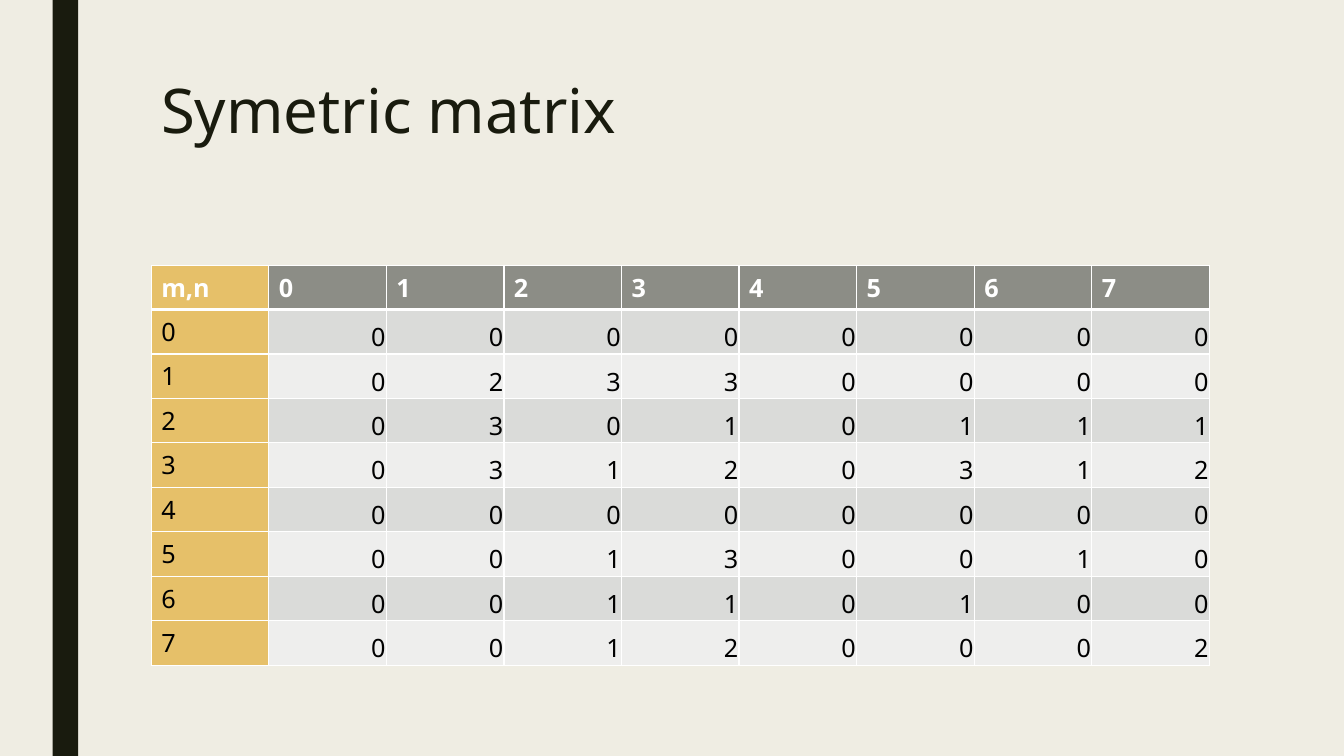
from pptx import Presentation, util as u
from pptx.dml.color import RGBColor
from pptx.enum import shapes, text
from pptx.oxml import parse_xml
from pptx.oxml.ns import nsdecls

FONT = "Noto Sans"
HUES = {"back": "EFEDE3", "dark": "191B0E", "white": "FFFFFF", "black": "000000",
        "gold": "E6C069", "head": "8C8D86", "odd": "DADBD9", "even": "EEEEED"}
DATA = ["00000000", "02330000", "03010111", "03120312",
        "00000000", "00130010", "00110100", "00120002"]


def paint(fill, hue):
    """Fill with one solid colour from the palette."""
    fill.solid()
    fill.fore_color.rgb = RGBColor.from_string(HUES[hue])


def style(frame, size, hue, bold=False):
    """Format all runs of a text frame."""
    for para in frame.paragraphs:
        for run in para.runs:
            run.font.name = FONT
            run.font.size = u.Pt(size)
            run.font.bold = bold
            run.font.color.rgb = RGBColor.from_string(HUES[hue])


def add_bar(slide, height):
    """Draw the dark bar along the left side."""
    bar = slide.shapes.add_shape(shapes.MSO_SHAPE.RECTANGLE,
                                 u.Cm(1.33), 0, u.Cm(0.64), height)
    bar.shadow.inherit = False
    paint(bar.fill, "dark")
    bar.line.fill.background()


def add_title(slide, words):
    """Place the slide title."""
    box = slide.shapes.add_textbox(u.Cm(3.81), u.Cm(1.92), u.Cm(26.67), u.Cm(4.11))
    frame = box.text_frame
    frame.word_wrap = True
    frame.text = words
    frame.paragraphs[0].line_spacing = 0.89
    style(frame, 44, "dark")


def edge(cell, row):
    """Give a cell white borders, thick below the header row."""
    wide = {"T": row == 1, "B": row == 0}
    for side in "LRTB":
        width = u.Pt(3 if wide.get(side) else 1)
        cell._tc.get_or_add_tcPr().append(parse_xml(
            f'<a:ln{side} {nsdecls("a")} w="{width}"><a:solidFill>'
            f'<a:srgbClr val="{HUES["white"]}"/></a:solidFill></a:ln{side}>'))


def set_cell(cell, row, col, words):
    """Write and format a cell according to its place in the matrix."""
    edge(cell, row)
    band = "head" if row == 0 else "odd" if row % 2 else "even"
    paint(cell.fill, "gold" if col == 0 else band)
    cell.text = words
    style(cell.text_frame, 18, "black" if row else "white", row == 0)
    if row and col:
        cell.vertical_anchor = text.MSO_ANCHOR.BOTTOM
        cell.margin_left = cell.margin_right = cell.margin_top = u.Cm(0.02)
        cell.margin_bottom = 0
        cell.text_frame.paragraphs[0].alignment = text.PP_ALIGN.RIGHT


def add_matrix(slide):
    """Build the matrix with its row and column numbers."""
    rows = [["m,n", *map(str, range(len(DATA)))]]
    rows += [[str(num), *line] for num, line in enumerate(DATA)]
    size = len(rows)
    grid = slide.shapes.add_table(size, size, u.Cm(3.81), u.Cm(6.68),
                                  u.Cm(26.67), u.Cm(10.08)).table
    for row, line in enumerate(rows):
        for col, words in enumerate(line):
            set_cell(grid.cell(row, col), row, col, words)


def main():
    """Create the slide and save it."""
    deck = Presentation()
    deck.slide_width, deck.slide_height = u.Cm(33.87), u.Cm(19.05)
    slide = deck.slides.add_slide(deck.slide_layouts[6])
    paint(slide.background.fill, "back")
    add_bar(slide, deck.slide_height)
    add_title(slide, "Symetric matrix")
    add_matrix(slide)
    deck.save("out.pptx")


main()
